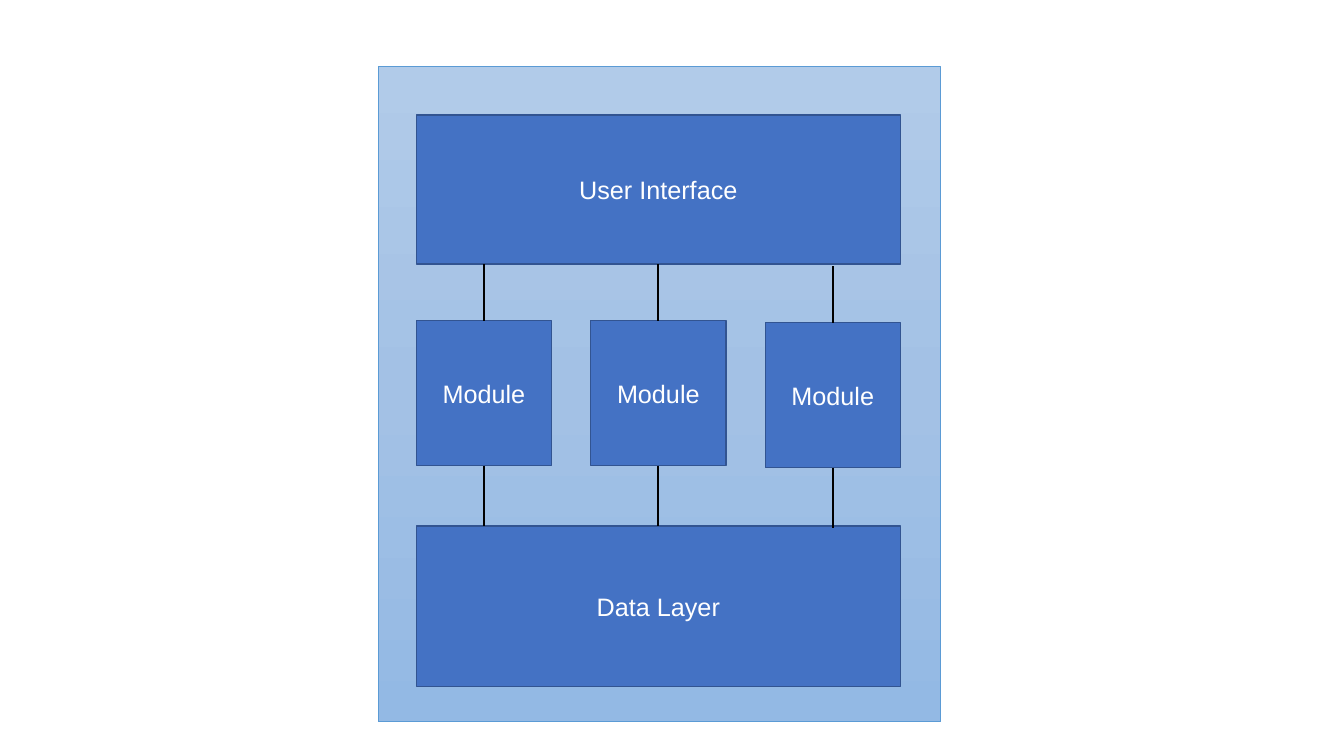
import copy
import lxml.etree
import pptx
import pptx.dml.color
import pptx.enum.shapes
import pptx.enum.text
import pptx.oxml.ns
import pptx.util

Inches = pptx.util.Inches
Pt = pptx.util.Pt
RECT = pptx.enum.shapes.MSO_SHAPE.RECTANGLE
LINE = pptx.enum.shapes.MSO_CONNECTOR.STRAIGHT
TOP, BOTTOM = 0, 2


def tint(code):
    return pptx.dml.color.RGBColor.from_string(code)


def add_rect(slide, box, edge, width):
    rect = slide.shapes.add_shape(RECT, *[Inches(n) for n in box])
    rect.shadow.inherit = False
    rect.line.color.rgb = tint(edge)
    rect.line.width = Pt(width)
    return rect


def add_panel(slide, box):
    panel = add_rect(slide, box, "5B9BD5", 0.5)
    fill = panel.fill
    fill.gradient()
    fill.gradient_angle = 270
    stops = panel._element.spPr.find(".//" + pptx.oxml.ns.qn("a:gsLst"))
    stops.insert(1, copy.deepcopy(stops[0]))
    colors = ["B1CBE9", "A3C1E5", "93B9E4"]
    for stop, code, place in zip(fill.gradient_stops, colors, [0, 0.5, 1]):
        stop.color.rgb = tint(code)
        stop.position = place


def add_block(slide, box, text):
    block = add_rect(slide, box, "325491", 1)
    block.fill.solid()
    block.fill.fore_color.rgb = tint("4472C4")
    frame = block.text_frame
    frame.text = text
    frame.word_wrap = True
    frame.vertical_anchor = pptx.enum.text.MSO_ANCHOR.MIDDLE
    line = frame.paragraphs[0]
    line.alignment = pptx.enum.text.PP_ALIGN.CENTER
    font = line.runs[0].font
    font.name = "Arial"
    font.size = Pt(18)
    font.color.rgb = tint("FFFFFF")
    return block


def add_link(slide, x, start, end):
    link = slide.shapes.add_connector(
        LINE, Inches(x), Inches(start), Inches(x), Inches(end))
    link.line.color.rgb = tint("000000")
    link.line.width = Pt(1.5)
    lxml.etree.SubElement(link._element.spPr, pptx.oxml.ns.qn("a:effectLst"))
    return link


def add_layers(slide, box):
    left, top, width, height = box
    add_panel(slide, box)
    inner, wide = left + 0.38, 4.8
    roof, floor = top + 1.96, top + 4.56
    face = add_block(slide, (inner, top + 0.48, wide, 1.48), "User Interface")
    data = add_block(slide, (inner, floor, wide, 1.59), "Data Layer")
    side, tall = 1.34, 1.44
    step = (wide - side) / 2
    for col, drop in enumerate([0, 0, 0.02]):
        x = inner + col * step
        y = top + 2.52 + drop
        module = add_block(slide, (x, y, side, tall), "Module")
        mid = x + side / 2
        upper = add_link(slide, mid, roof + drop, y)
        upper.end_connect(module, TOP)
        lower = add_link(slide, mid, y + tall, floor + drop)
        lower.begin_connect(module, BOTTOM)
        if col == 1:
            upper.begin_connect(face, BOTTOM)
            lower.end_connect(data, TOP)


def main():
    deck = pptx.Presentation()
    deck.slide_width = Inches(13.33)
    deck.slide_height = Inches(7.5)
    slide = deck.slides.add_slide(deck.slide_layouts[6])
    add_layers(slide, (3.75, 0.66, 5.58, 6.5))
    deck.save("out.pptx")


if __name__ == "__main__":
    main()
